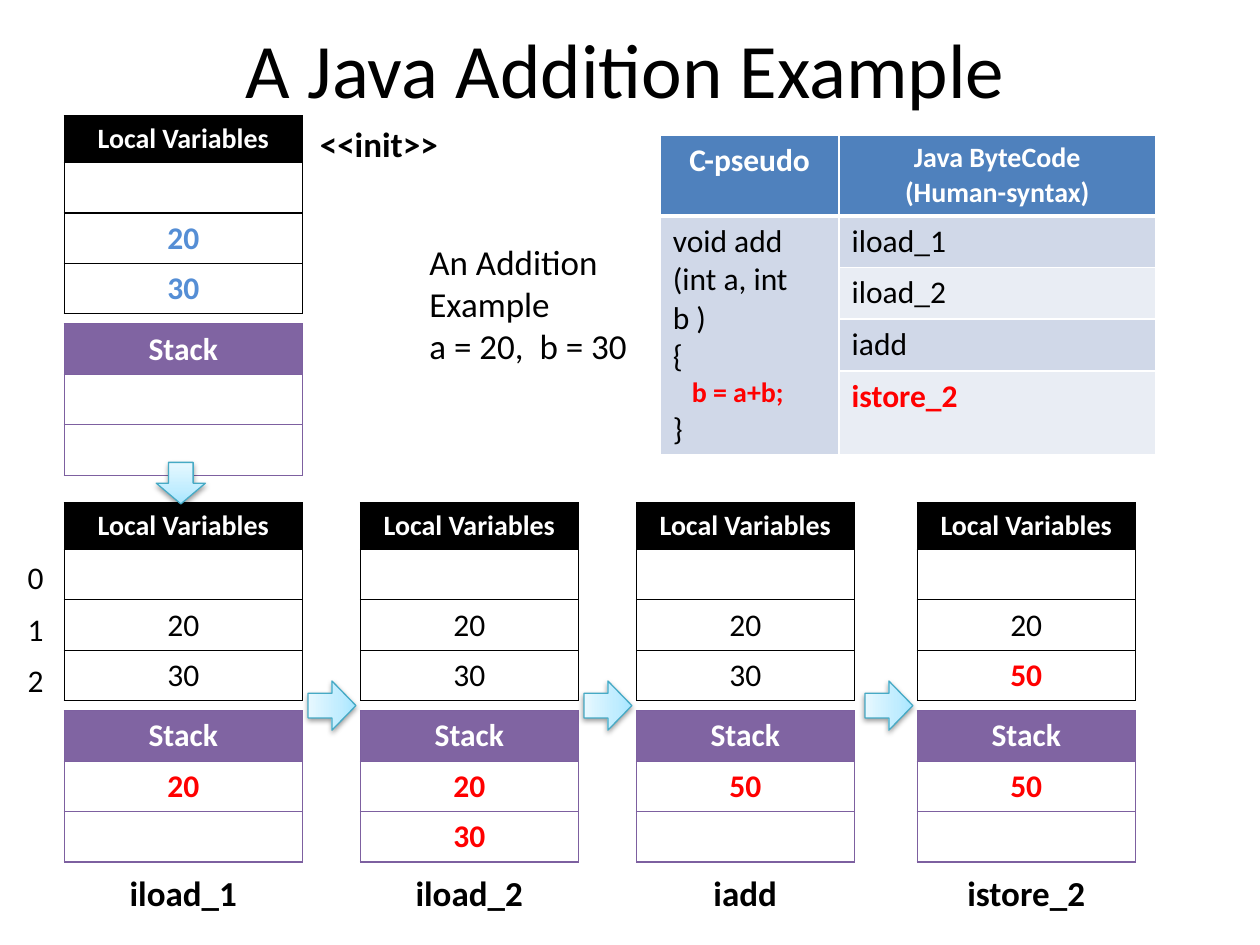
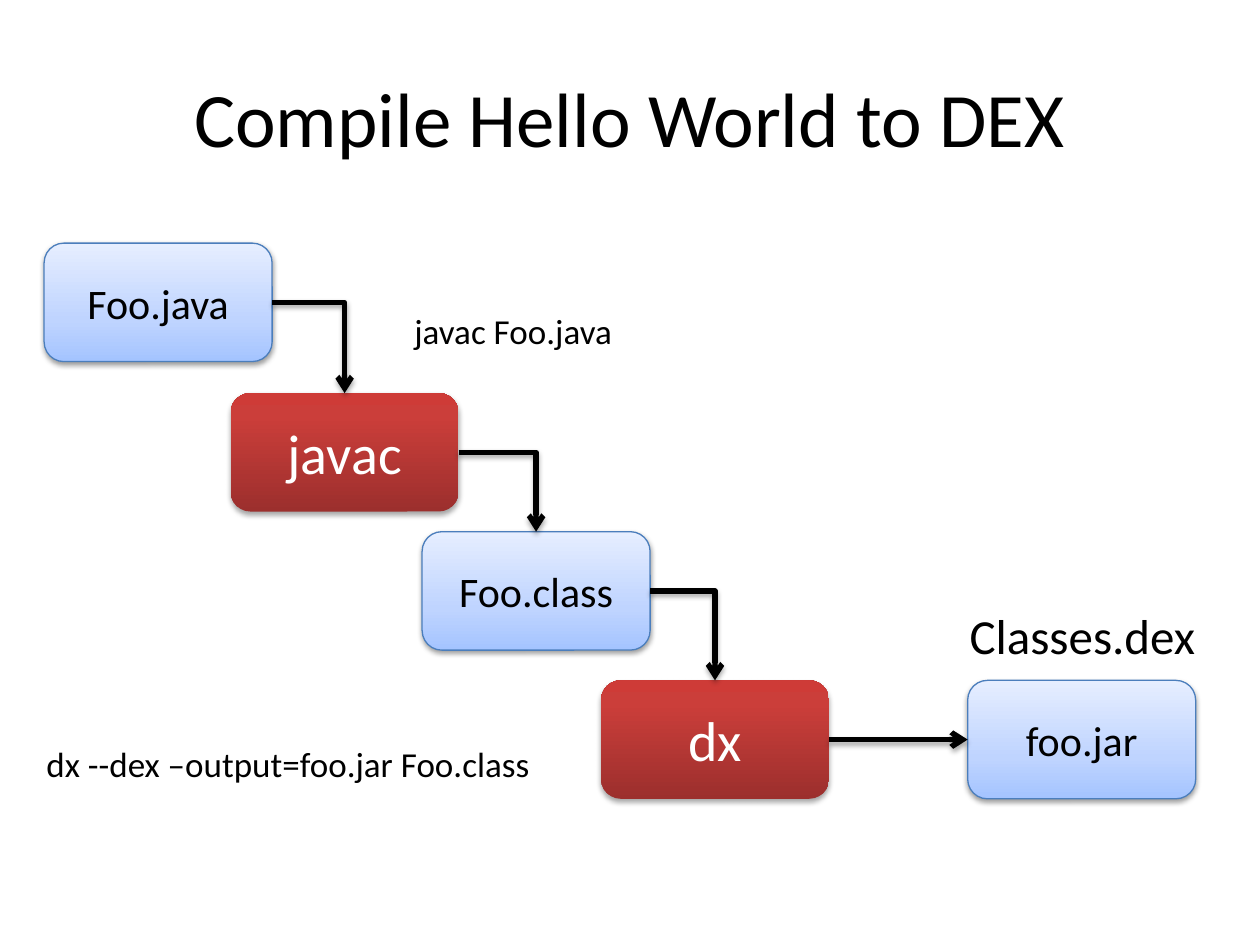
from lxml import etree
from pptx import Presentation
from pptx.dml.color import RGBColor
from pptx.enum.shapes import MSO_CONNECTOR, MSO_SHAPE
from pptx.enum.text import PP_ALIGN
from pptx.oxml.ns import qn
from pptx.util import Inches, Pt

FONT = "Calibri"
BLACK = RGBColor(0x00, 0x00, 0x00)
WHITE = RGBColor(0xFF, 0xFF, 0xFF)
RED = RGBColor(0xFF, 0x00, 0x00)
BLUE = RGBColor(0x55, 0x8E, 0xD5)
PURPLE = RGBColor(0x80, 0x64, 0xA2)
PURPLE_LINE = RGBColor(0x7D, 0x60, 0xA0)
CODE_HEAD = RGBColor(0x4F, 0x81, 0xBD)
CODE_DARK = RGBColor(0xD0, 0xD8, 0xE8)
CODE_LIGHT = RGBColor(0xE9, 0xED, 0xF4)
CYAN_LINE = RGBColor(0x46, 0xAA, 0xC5)
BLUE_LINE = RGBColor(0x4B, 0x7E, 0xBC)

# Gradient stops run from the bottom edge to the top: (percent, colour)
CYAN_FILL = [(0, "A7E6FF"), (35, "C1EDFF"), (100, "E7F8FF")]
BLUE_FILL = [(0, "A4C4FF"), (35, "BFD4FF"), (100, "E6EEFF")]
RED_FILL = [(0, "9C2F2D"), (80, "CB3E3A"), (100, "CE3B37")]
SOFT_SHADOW = (38, 1.6)  # opacity in percent, distance in points
DEEP_SHADOW = (35, 1.8)

# Content of the addition slide
ADDITION_TITLE = "A Java Addition Example"
INIT_LABEL = "<<init>>"
ADDITION_NOTE = "An Addition Example\na = 20,  b = 30"
PLAIN_20, PLAIN_30 = ("20", BLACK, False), ("30", BLACK, False)
BLUE_20, BLUE_30 = ("20", BLUE, True), ("30", BLUE, True)
RED_20, RED_30, RED_50 = [(value, RED, True) for value in ("20", "30", "50")]
EMPTY = ("", BLACK, False)
# left, top, width, local variables, stack, label
FRAMES = [
    (0.51, 0.92, 1.89, [EMPTY, BLUE_20, BLUE_30], [EMPTY, EMPTY], None),
    (0.51, 3.99, 1.89, [EMPTY, PLAIN_20, PLAIN_30], [RED_20, EMPTY], "iload_1"),
    (2.86, 3.99, 1.73, [EMPTY, PLAIN_20, PLAIN_30], [RED_20, RED_30], "iload_2"),
    (5.05, 3.99, 1.73, [EMPTY, PLAIN_20, PLAIN_30], [RED_50, EMPTY], "iadd"),
    (7.28, 3.99, 1.73, [EMPTY, PLAIN_20, RED_50], [RED_50, EMPTY], "istore_2"),
]
SLOT_NUMBERS = ["0", "1", "2"]
CODE_HEADERS = [("C-pseudo", 18), ("Java ByteCode\n(Human-syntax)", 16)]
PSEUDO_CODE = ["void add\n(int a, int b )", "{", "b = a+b;", "}"]
BYTECODE = ["iload_1", "iload_2", "iadd", "istore_2"]
HIGHLIGHTS = {"b = a+b;", "istore_2"}

# Content of the compile slide
COMPILE_TITLE = "Compile Hello World to DEX"
STEPS = [  # text, left, top, is a tool
    ("Foo.java", 0.35, 1.93, False),
    ("javac", 1.83, 3.12, True),
    ("Foo.class", 3.35, 4.22, False),
    ("dx", 4.77, 5.4, True),
    ("foo.jar", 7.68, 5.4, False),
]
STEP_SIZE = (1.81, 0.94)
NOTES = [  # text, place, size, alignment
    ("Classes.dex", (7.25, 4.76, 2.68, 0.57), 28, PP_ALIGN.CENTER),
    ("javac Foo.java", (3.19, 2.41, 3.94, 0.44), 20, PP_ALIGN.LEFT),
    ("dx --dex –output=foo.jar Foo.class", (0.27, 5.84, 4.35, 0.44), 20, PP_ALIGN.LEFT),
]


def inches(values):
    return [Inches(value) for value in values]


def write(para, text, size, color=BLACK, bold=False, align=PP_ALIGN.LEFT):
    para.text = text
    para.alignment = align
    for span in para.runs:
        span.font.name = FONT
        span.font.size = Pt(size)
        span.font.bold = bold
        span.font.color.rgb = color


def add_page(deck, title, place):
    page = deck.slides.add_slide(deck.slide_layouts[5])
    box = page.shapes.title
    box.left, box.top, box.width, box.height = inches(place)
    write(box.text_frame.paragraphs[0], title, 44, align=PP_ALIGN.CENTER)
    return page


def add_note(page, text, place, size, bold=False, align=PP_ALIGN.LEFT):
    box = page.shapes.add_textbox(*inches(place))
    box.text_frame.word_wrap = True
    write(box.text_frame.paragraphs[0], text, size, bold=bold, align=align)


# Effects
def add_shadow(properties, shadow):
    opacity, distance = shadow
    effects = properties.find(qn("a:effectLst"))
    if effects is None:
        effects = etree.SubElement(properties, qn("a:effectLst"))
    outer = etree.SubElement(effects, qn("a:outerShdw"), blurRad=str(Pt(3.1)),
                             dist=str(Pt(distance)), dir="5400000", rotWithShape="0")
    color = etree.SubElement(outer, qn("a:srgbClr"), val="000000")
    etree.SubElement(color, qn("a:alpha"), val=str(opacity * 1000))


def add_gradient_shape(page, kind, place, stops, line_color, shadow):
    shape = page.shapes.add_shape(kind, *inches(place))
    shape.fill.gradient()
    shape.fill.gradient_angle = 90
    properties = shape._element.spPr
    stop_list = properties.find(".//" + qn("a:gsLst"))
    for old_stop in list(stop_list):
        stop_list.remove(old_stop)
    for percent, color in stops:
        stop = etree.SubElement(stop_list, qn("a:gs"), pos=str(percent * 1000))
        etree.SubElement(stop, qn("a:srgbClr"), val=color)
    if line_color is None:
        shape.line.fill.background()
    else:
        shape.line.color.rgb = line_color
        shape.line.width = Pt(0.75)
    shape.shadow.inherit = False
    add_shadow(properties, shadow)
    return shape


# Tables
def add_plain_table(page, left, top, widths, heights):
    place = inches((left, top, sum(widths), sum(heights)))
    table = page.shapes.add_table(len(heights), len(widths), *place).table
    table.first_row = table.horz_banding = False
    for column, width in zip(table.columns, widths):
        column.width = Inches(width)
    for row, height in zip(table.rows, heights):
        row.height = Inches(height)
    return table


def style_cell(cell, fill, border, width=0.75, bottom=None):
    if fill is None:
        cell.fill.background()
    else:
        cell.fill.solid()
        cell.fill.fore_color.rgb = fill
    properties = cell._tc.get_or_add_tcPr()
    for index, side in enumerate(("lnL", "lnR", "lnT", "lnB")):
        points = bottom if bottom and side == "lnB" else width
        line = etree.Element(qn("a:" + side), w=str(Pt(points)))
        paint = etree.SubElement(line, qn("a:solidFill"))
        etree.SubElement(paint, qn("a:srgbClr"), val=str(border))
        properties.insert(index, line)


def add_memory_table(page, left, top, width, header, header_size, fill, border, values):
    heights = [0.37 if header_size == 16 else 0.4] + [0.4] * len(values)
    table = add_plain_table(page, left, top, [width], heights)
    for index, (text, color, bold) in enumerate([(header, WHITE, True)] + values):
        cell = table.cell(index, 0)
        size = header_size if index == 0 else 18
        write(cell.text_frame.paragraphs[0], text, size, color, bold, PP_ALIGN.CENTER)
        style_cell(cell, fill if index == 0 else None, border)


def add_code_table(page):
    table = add_plain_table(page, 5.24, 1.07, [1.42, 2.51], [0.64, 0.41, 0.41, 0.41, 0.67])
    for index, (text, size) in enumerate(CODE_HEADERS):
        cell = table.cell(0, index)
        write(cell.text_frame.paragraphs[0], text, size, WHITE, True, PP_ALIGN.CENTER)
        style_cell(cell, CODE_HEAD, WHITE, 1, bottom=3)
    for index, text in enumerate(BYTECODE, start=1):
        marked = text in HIGHLIGHTS
        cell = table.cell(index, 1)
        write(cell.text_frame.paragraphs[0], text, 18, RED if marked else BLACK, marked)
        style_cell(cell, CODE_DARK if index % 2 else CODE_LIGHT, WHITE, 1)
        style_cell(table.cell(index, 0), CODE_DARK, WHITE, 1)
    source = table.cell(1, 0)
    source.merge(table.cell(len(BYTECODE), 0))
    for index, text in enumerate(PSEUDO_CODE):
        frame = source.text_frame
        para = frame.paragraphs[0] if index == 0 else frame.add_paragraph()
        marked = text in HIGHLIGHTS
        write(para, text, 16 if marked else 18, RED if marked else BLACK, marked)
        if marked:
            para._p.get_or_add_pPr().set("marL", str(Inches(0.15)))


def add_block_arrow(page, left, top, height, rotation=0):
    arrow = add_gradient_shape(page, MSO_SHAPE.DOWN_ARROW, (left, top, 0.39, height),
                               CYAN_FILL, CYAN_LINE, SOFT_SHADOW)
    arrow.rotation = rotation


def build_addition_page(deck):
    page = add_page(deck, ADDITION_TITLE, (0.43, 0, 9.07, 1.07))
    add_code_table(page)
    add_note(page, ADDITION_NOTE, (3.31, 1.86, 1.97, 1.11), 20)
    add_note(page, INIT_LABEL, (2.44, 0.92, 1.15, 0.44), 20, bold=True)

    # Memory before and after each instruction
    for left, top, width, variables, stack, label in FRAMES:
        add_memory_table(page, left, top + 1.65, width, "Stack", 18, PURPLE, PURPLE_LINE, stack)
        add_memory_table(page, left, top, width, "Local Variables", 16, BLACK, BLACK, variables)
        if label:
            add_note(page, label, (left, 6.87, width, 0.44), 20, True, PP_ALIGN.CENTER)
    for index, number in enumerate(SLOT_NUMBERS):
        add_note(page, number, (0.12, 4.38 + 0.41 * index, 0.31, 0.4), 18)

    # Arrows from one state to the next
    add_block_arrow(page, 1.24, 3.67, 0.33)
    for frame in FRAMES[2:]:
        add_block_arrow(page, frame[0] - 0.42, 5.41, 0.38, rotation=270)


def add_flow_arrow(page, start, end):
    bent = start.top != end.top
    kind = MSO_CONNECTOR.ELBOW if bent else MSO_CONNECTOR.STRAIGHT
    arrow = page.shapes.add_connector(kind, 0, 0, 0, 0)
    arrow.begin_connect(start, 3)
    arrow.end_connect(end, 0 if bent else 1)
    arrow.line.color.rgb = BLACK
    arrow.line.width = Pt(3)
    properties = arrow._element.spPr
    if bent:
        properties.find(qn("a:prstGeom")).set("prst", "bentConnector2")
    etree.SubElement(properties.find(qn("a:ln")), qn("a:tailEnd"), type="arrow")
    add_shadow(properties, DEEP_SHADOW)


def build_compile_page(deck):
    page = add_page(deck, COMPILE_TITLE, (0.5, 0.3, 9, 1.25))

    # Files and tools
    boxes = []
    for text, left, top, is_tool in STEPS:
        look = (RED_FILL, None, DEEP_SHADOW) if is_tool else (BLUE_FILL, BLUE_LINE, SOFT_SHADOW)
        box = add_gradient_shape(page, MSO_SHAPE.ROUNDED_RECTANGLE,
                                 (left, top, *STEP_SIZE), *look)
        write(box.text_frame.paragraphs[0], text, 32 if is_tool else 24,
              WHITE if is_tool else BLACK, align=PP_ALIGN.CENTER)
        boxes.append(box)
    for start, end in zip(boxes, boxes[1:]):
        add_flow_arrow(page, start, end)

    # Commands and result
    for text, place, size, align in NOTES:
        add_note(page, text, place, size, align=align)


def main():
    deck = Presentation()
    deck.slide_width, deck.slide_height = Inches(10), Inches(7.5)
    build_addition_page(deck)
    build_compile_page(deck)
    deck.save("out.pptx")


if __name__ == "__main__":
    main()
